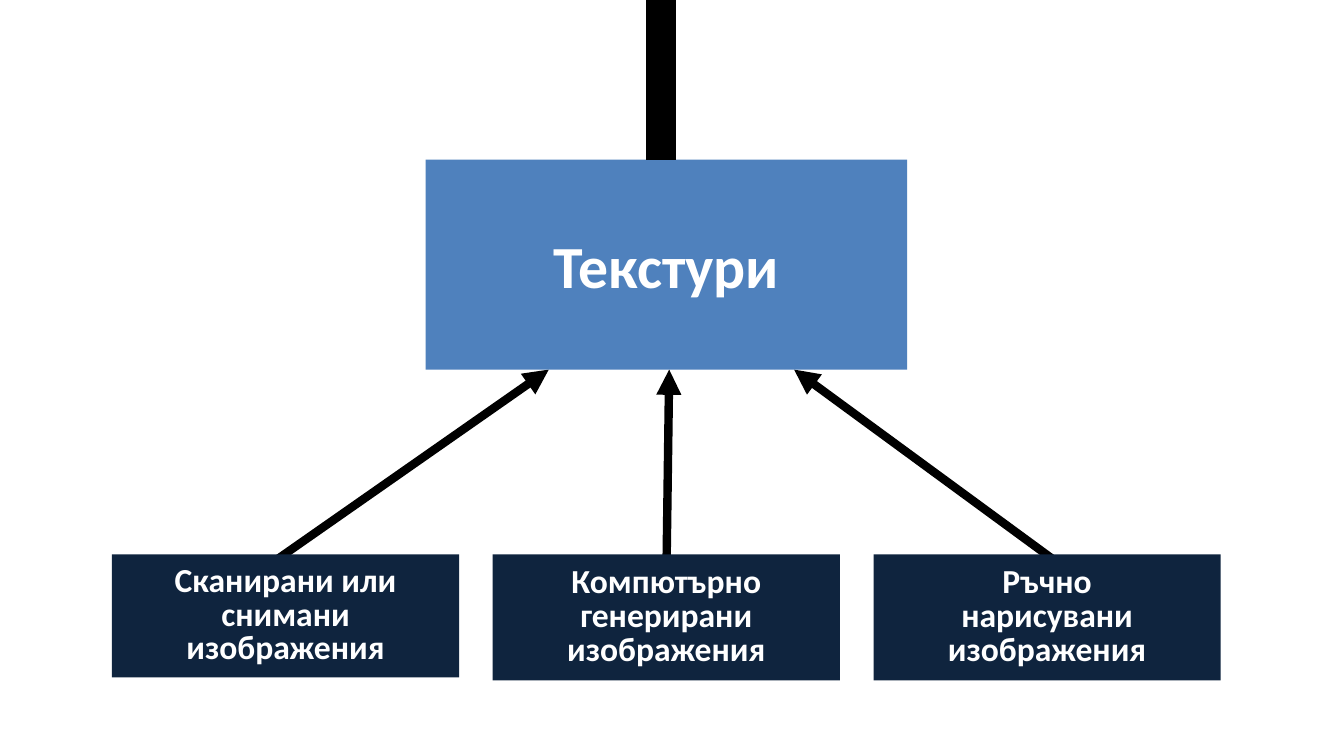
from dataclasses import dataclass

from lxml import etree
from pptx import Presentation
from pptx.dml.color import RGBColor
from pptx.enum.shapes import MSO_CONNECTOR, MSO_SHAPE
from pptx.enum.text import MSO_ANCHOR, PP_ALIGN
from pptx.oxml.ns import qn
from pptx.slide import Slide
from pptx.util import Inches, Length, Pt

RECTANGLE = MSO_SHAPE.RECTANGLE
STRAIGHT = MSO_CONNECTOR.STRAIGHT
CENTER = PP_ALIGN.CENTER
MIDDLE = MSO_ANCHOR.MIDDLE

COLORS = {"topic": "4F81BD", "source": "0F243E", "line": "000000", "text": "FFFFFF"}
FONT = "Calibri"

# Square grid, twelve cells to the inch
COLUMNS, ROWS = 120, 67.5
SOURCE_LEFT, SOURCE_TOP, SOURCE_WIDTH, SOURCE_PITCH = 10, 49.5, 31, 34
TOPIC_TOP, TOPIC_HEIGHT = 14.25, 18.75
TOPIC_BOTTOM = TOPIC_TOP + TOPIC_HEIGHT


@dataclass(frozen=True)
class Box:
    paragraphs: tuple[str, ...]
    column: float
    row: float
    columns: float
    rows: float
    color: str
    size: int
    line_spacing: int | None = None


@dataclass(frozen=True)
class Line:
    start: tuple[float, float]
    end: tuple[float, float]
    width: float
    arrow: bool = False


def grid(cells: float) -> Length:
    return Inches(cells / 12)


def draw_box(slide: Slide, box: Box) -> None:
    rectangle = slide.shapes.add_shape(
        RECTANGLE, grid(box.column), grid(box.row), grid(box.columns), grid(box.rows)
    )
    rectangle.shadow.inherit = False
    rectangle.fill.solid()
    rectangle.fill.fore_color.rgb = RGBColor.from_string(COLORS[box.color])
    rectangle.line.fill.background()
    frame = rectangle.text_frame
    frame.word_wrap = True
    frame.vertical_anchor = MIDDLE
    frame.text = "\n".join(box.paragraphs)
    for paragraph in frame.paragraphs:
        paragraph.alignment = CENTER
        if box.line_spacing:
            paragraph.line_spacing = Pt(box.line_spacing)
        paragraph.font.name = FONT
        paragraph.font.size = Pt(box.size)
        paragraph.font.bold = True
        paragraph.font.color.rgb = RGBColor.from_string(COLORS["text"])


def draw_line(slide: Slide, line: Line) -> None:
    connector = slide.shapes.add_connector(
        STRAIGHT, *(grid(cells) for cells in line.start + line.end)
    )
    connector.line.width = Pt(line.width)
    connector.line.color.rgb = RGBColor.from_string(COLORS["line"])
    if line.arrow:
        outline = connector.line._get_or_add_ln()
        etree.SubElement(outline, qn("a:tailEnd"), type="triangle")
    etree.SubElement(connector._element.spPr, qn("a:effectLst"))


# Content
TOPIC = Box(("Текстури",), 38, TOPIC_TOP, 43, TOPIC_HEIGHT, "topic", 32)
STEM = Line((59, 0), (59, TOPIC_TOP), 16)
ARROWS = [
    Line((23.6, 50.75), (49, TOPIC_BOTTOM), 4.5, True),
    Line((59.5, 51.5), (59.75, TOPIC_BOTTOM), 4.5, True),
    Line((95.6, 51.1), (70.9, TOPIC_BOTTOM), 4.5, True),
]
SOURCES = [
    (("Сканирани или снимани изображения",), 11),
    (("Компютърно", "генерирани изображения"), 11.25),
    (("Ръчно", "нарисувани изображения"), 11.25),
]


def main() -> None:
    presentation = Presentation()
    presentation.slide_width = grid(COLUMNS)
    presentation.slide_height = grid(ROWS)
    slide = presentation.slides.add_slide(presentation.slide_layouts[6])

    # Arrows lie behind the boxes they link
    for arrow in ARROWS:
        draw_line(slide, arrow)

    # Topic and the stem above it
    draw_box(slide, TOPIC)
    draw_line(slide, STEM)

    # Row of texture sources
    for index, (paragraphs, rows) in enumerate(SOURCES):
        column = SOURCE_LEFT + index * SOURCE_PITCH
        draw_box(
            slide,
            Box(paragraphs, column, SOURCE_TOP, SOURCE_WIDTH, rows, "source", 18, 18),
        )

    presentation.save("out.pptx")


if __name__ == "__main__":
    main()
